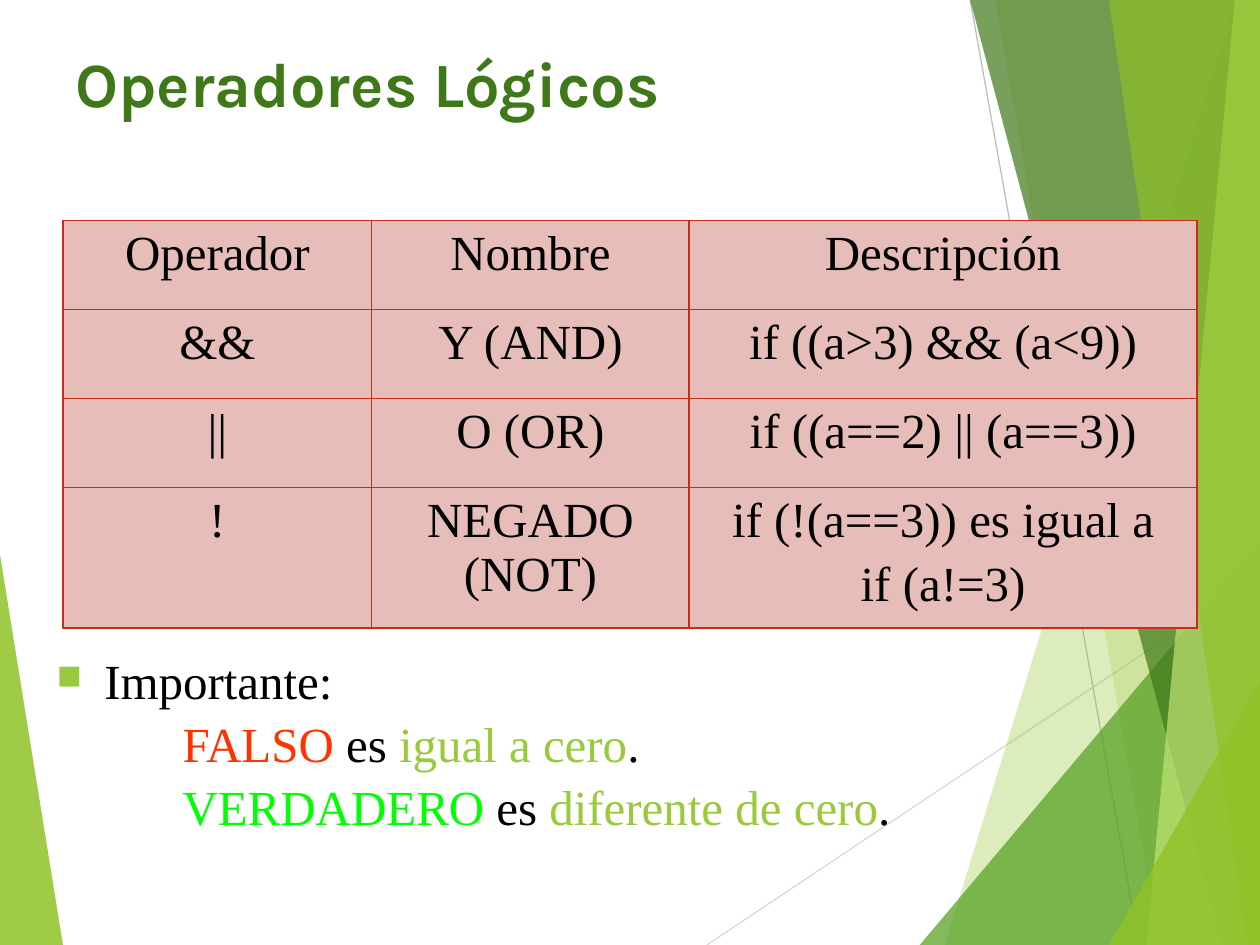
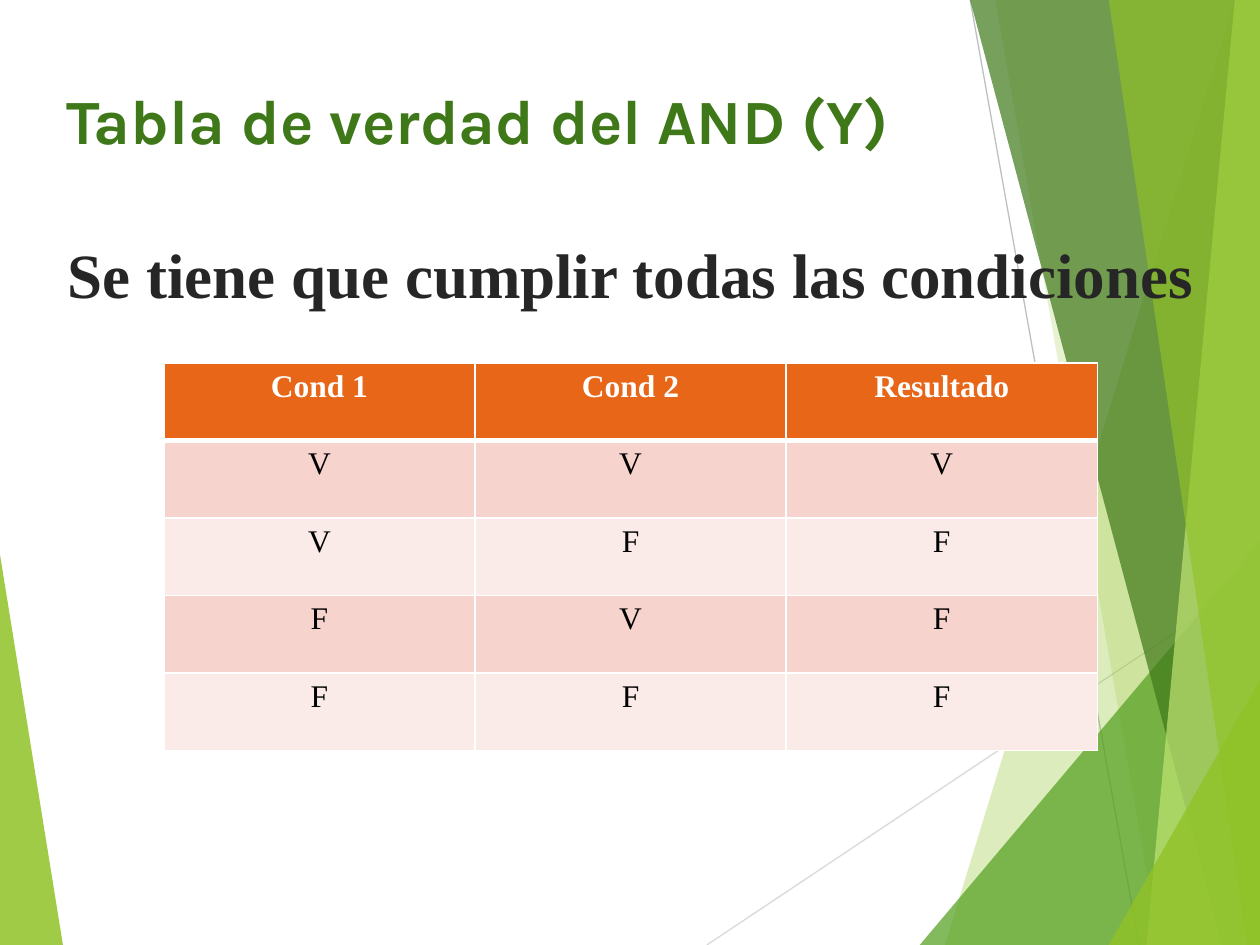
from dataclasses import dataclass

from lxml import etree
from pptx import Presentation
from pptx.dml.color import RGBColor
from pptx.enum.shapes import MSO_CONNECTOR
from pptx.enum.text import MSO_ANCHOR, PP_ALIGN
from pptx.oxml.ns import qn
from pptx.util import Inches, Pt

STRAIGHT = MSO_CONNECTOR.STRAIGHT
CENTER = PP_ALIGN.CENTER
TOP = MSO_ANCHOR.TOP


@dataclass(frozen=True)
class Theme:
    title_font: str = "Karla"
    body_font: str = "Times New Roman"
    title_size: int = 36
    body_size: int = 28
    small_size: int = 18
    lime: str = "90C226"
    leaf: str = "54A021"
    forest: str = "3F7819"
    pale: str = "C0E474"
    accent: str = "99CA3C"
    light_line: str = "D9D9D9"
    dark_line: str = "BFBFBF"
    black: str = "000000"
    charcoal: str = "262626"
    white: str = "FFFFFF"
    false_red: str = "FF3300"
    true_green: str = "00FF00"
    brick: str = "C42F1A"
    rose: str = "E7BDBA"
    orange: str = "E76618"
    band_dark: str = "F6D3CC"
    band_light: str = "FAEAE8"


theme = Theme()


def style_span(span, size, color, font=theme.body_font, bold=False):
    span.font.name = font
    span.font.size = Pt(size)
    span.font.bold = bold
    span.font.color.rgb = RGBColor.from_string(color)


def add_grid_table(page, left, top, columns, rows, texts, fills, size, border, gap, header=None):
    frame = page.shapes.add_table(
        len(rows), len(columns), int(left * CELL), int(top * CELL),
        int(sum(columns) * CELL), int(sum(rows) * CELL))
    table = frame.table
    table.first_row = table.horz_banding = False
    for column, width in zip(table.columns, columns):
        column.width = int(width * CELL)
    for index, (row, height) in enumerate(zip(table.rows, rows)):
        row.height = int(height * CELL)
        is_header = header is not None and index == 0
        for cell, text in zip(row.cells, texts[index]):
            properties = cell._tc.get_or_add_tcPr()
            for side in "LRTB":
                thick = header and (index, side) in ((0, "B"), (1, "T"))
                edge = etree.SubElement(properties, qn(f"a:ln{side}"), w=str(Pt(3 if thick else 1)))
                paint = etree.SubElement(edge, qn("a:solidFill"))
                etree.SubElement(paint, qn("a:srgbClr"), val=border)
            cell.fill.solid()
            cell.fill.fore_color.rgb = RGBColor.from_string(fills[index])
            cell.vertical_anchor = TOP
            cell.text_frame.text = text
            for para in cell.text_frame.paragraphs:
                para.alignment = CENTER
                para.space_before = Pt(gap)
                style_span(para.runs[0], size, header if is_header else theme.black, bold=is_header)


deck = Presentation()
deck.slide_width = Inches(10)
deck.slide_height = Inches(7.5)
CELL = deck.slide_width // 100
RIGHT, BOTTOM = 100, 75

rays = [
    ((56.1, BOTTOM), (RIGHT, 45.7), theme.light_line),
    ((77, 0), (90.4, BOTTOM), theme.dark_line),
]
left_band = ([(0, 43.9), (4.9, BOTTOM), (0, BOTTOM)], theme.lime, 85)
right_bands = [
    ([(97.5, 0), (75.4, BOTTOM), (RIGHT, BOTTOM), (RIGHT, 0)], theme.lime, 30),
    ([(78.8, 0), (91.9, BOTTOM), (RIGHT, BOTTOM), (RIGHT, 0)], theme.lime, 20),
    ([(72.6, BOTTOM), (RIGHT, 42.9), (RIGHT, BOTTOM)], theme.leaf, 72),
    ([(76.7, 0), (97, BOTTOM), (RIGHT, BOTTOM), (RIGHT, 0)], theme.forest, 70),
    ([(98.1, 0), (90.7, BOTTOM), (RIGHT, BOTTOM), (RIGHT, 0)], theme.pale, 70),
    ([(88.3, 0), (98.6, BOTTOM), (RIGHT, BOTTOM), (99.8, 0)], theme.lime, 65),
    ([(88.1, BOTTOM), (RIGHT, 53.5), (RIGHT, BOTTOM)], theme.lime, 80),
]

pages = []
for title, left, top in [("Operadores Lógicos", 5, 3), ("Tabla de verdad del AND (Y)", 4.3, 6)]:
    page = deck.slides.add_slide(deck.slide_layouts[6])
    pages.append(page)
    for start, end, color in rays:
        ray = page.shapes.add_connector(STRAIGHT, *(int(value * CELL) for value in start + end))
        ray.line.color.rgb = RGBColor.from_string(color)
        ray.line.width = Pt(0.75)
        etree.SubElement(ray.element.spPr, qn("a:effectLst"))
    for corners, color, opacity in [left_band, *right_bands]:
        outline = page.shapes.build_freeform(*corners[0], scale=CELL)
        outline.add_line_segments(corners[1:], close=True)
        band = outline.convert_to_shape()
        band.shadow.inherit = False
        band.fill.solid()
        band.fill.fore_color.rgb = RGBColor.from_string(color)
        band.line.fill.background()
        paint = band.element.spPr.find(f".//{qn('a:srgbClr')}")
        etree.SubElement(paint, qn("a:alpha"), val=str(opacity * 1000))
    box = page.shapes.add_textbox(int(left * CELL), int(top * CELL), 90 * CELL, int(12.5 * CELL))
    box.text_frame.word_wrap = True
    box.text_frame.text = title
    style_span(box.text_frame.paragraphs[0].runs[0], theme.title_size, theme.forest, theme.title_font, True)

operators_page, truth_page = pages

operators = [
    ("Operador", "Nombre", "Descripción"),
    ("&&", "Y (AND)", "if ((a>3) && (a<9))"),
    ("||", "O (OR)", "if ((a==2) || (a==3))"),
    ("!", "NEGADO (NOT)", "if (!(a==3)) es igual a\nif (a!=3)"),
]
add_grid_table(
    operators_page, 5, 17.5, [24.5, 25.2, 40.3], [7.07, 7.07, 7.07, 10.3],
    operators, [theme.rose] * 4, theme.body_size, theme.brick, theme.body_size * 0.2)

notes = [
    [("Importante:", theme.black)],
    [("FALSO", theme.false_red), (" es ", theme.black), ("igual a cero", theme.accent), (".", theme.black)],
    [("VERDADERO", theme.true_green), (" es ", theme.black), ("diferente de cero", theme.accent), (".", theme.black)],
]
box = operators_page.shapes.add_textbox(
    int(3.5 * CELL), int(51.7 * CELL), int(93.5 * CELL), 17 * CELL)
box.text_frame.word_wrap = True
for index, spans in enumerate(notes):
    para = box.text_frame.add_paragraph() if index else box.text_frame.paragraphs[0]
    para.line_spacing = 0.9
    para.space_before = Pt(theme.body_size * 0.2)
    for text, color in spans:
        span = para.add_run()
        span.text = text
        style_span(span, theme.body_size, color)
    properties = para._p.get_or_add_pPr()
    if index:
        properties.set("marL", str(10 * CELL))
        properties.set("indent", "0")
    else:
        properties.set("marL", str(int(3.8 * CELL)))
        properties.set("indent", str(int(-3.8 * CELL)))
        paint = etree.SubElement(properties, qn("a:buClr"))
        etree.SubElement(paint, qn("a:srgbClr"), val=theme.accent)
        etree.SubElement(properties, qn("a:buSzPct"), val="70000")
        etree.SubElement(properties, qn("a:buChar"), char="■")

truth_rows = [("Cond 1", "Cond 2", "Resultado"), "VVV", "VFF", "FVF", "FFF"]
add_grid_table(
    truth_page, 13, 28.8, [24.7] * 3, [6.15] * 5, truth_rows,
    [theme.orange] + [theme.band_dark, theme.band_light] * 2,
    theme.small_size, theme.white, 0, header=theme.white)

box = truth_page.shapes.add_textbox(
    int(3.7 * CELL), int(18.2 * CELL), int(92.7 * CELL), int(7.1 * CELL))
box.text_frame.word_wrap = False
box.text_frame.text = "Se tiene que cumplir todas las condiciones"
para = box.text_frame.paragraphs[0]
para.alignment = CENTER
style_span(para.runs[0], theme.title_size, theme.charcoal, bold=True)

deck.save("out.pptx")
